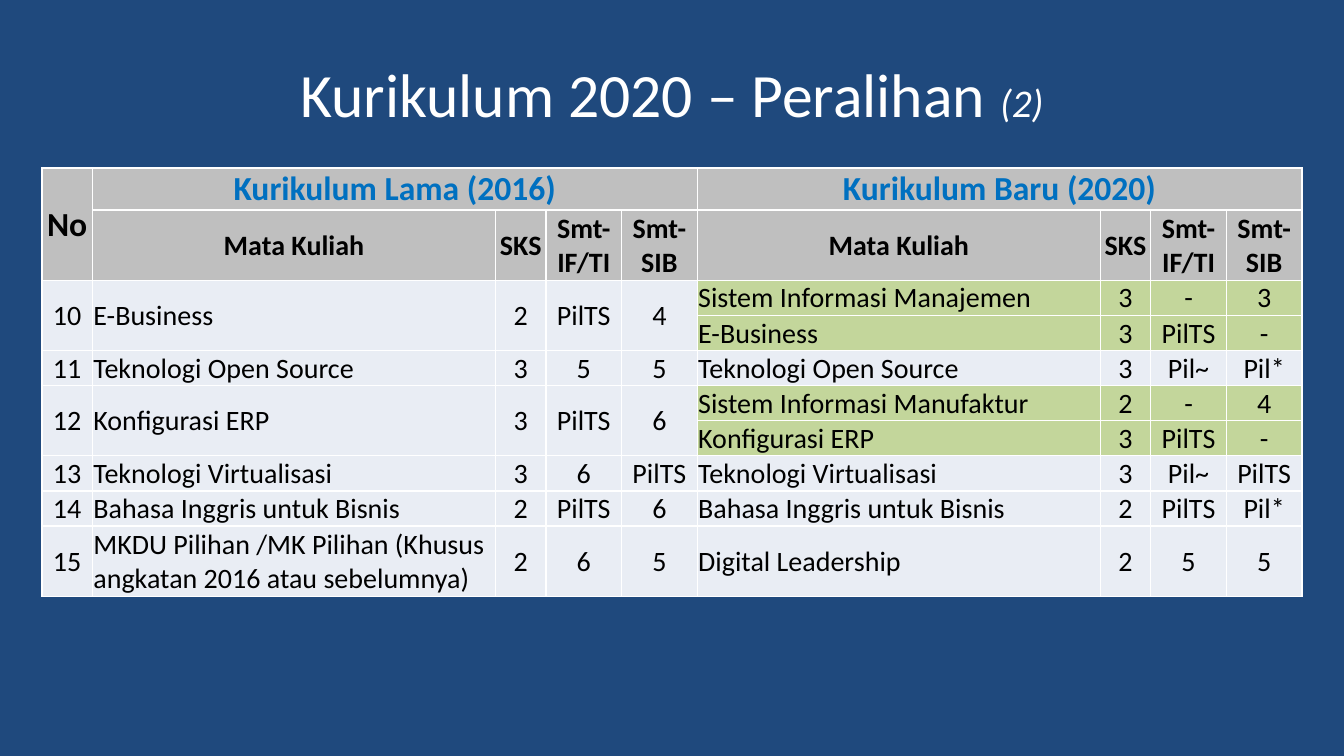
from dataclasses import dataclass

from lxml.etree import SubElement
from pptx import Presentation
from pptx.dml.color import RGBColor
from pptx.enum.text import MSO_ANCHOR, PP_ALIGN
from pptx.oxml.ns import qn
from pptx.util import Pt


@dataclass(frozen=True)
class Theme:
    font: str = "Calibri"
    background: str = "1F497D"
    white: str = "FFFFFF"
    black: str = "000000"
    blue: str = "0070C0"
    header: str = "BFBFBF"
    plain: str = "E9EDF4"
    split: str = "C3D69B"
    title: int = 44
    suffix: int = 28
    heading: int = 24
    body: int = 20
    border: int = 1


THEME = Theme()
COLUMNS = ("Mata Kuliah", "SKS", "Smt-IF/TI", "Smt-SIB")
GROUP_WIDTHS = (288, 36, 54, 54)
COURSES = [
    ("10", ("E-Business", "2", "PilTS", "4"),
     [("Sistem Informasi Manajemen", "3", "-", "3"), ("E-Business", "3", "PilTS", "-")]),
    ("11", ("Teknologi Open Source", "3", "5", "5"),
     [("Teknologi Open Source", "3", "Pil~", "Pil*")]),
    ("12", ("Konfigurasi ERP", "3", "PilTS", "6"),
     [("Sistem Informasi Manufaktur", "2", "-", "4"), ("Konfigurasi ERP", "3", "PilTS", "-")]),
    ("13", ("Teknologi Virtualisasi", "3", "6", "PilTS"),
     [("Teknologi Virtualisasi", "3", "Pil~", "PilTS")]),
    ("14", ("Bahasa Inggris untuk Bisnis", "2", "PilTS", "6"),
     [("Bahasa Inggris untuk Bisnis", "2", "PilTS", "Pil*")]),
    ("15", ("MKDU Pilihan /MK Pilihan (Khusus angkatan 2016 atau sebelumnya)", "2", "6", "5"),
     [("Digital Leadership", "2", "5", "5")]),
]


def add_text(p, text, size=THEME.body, color=THEME.black, bold=False, italic=False,
             align=PP_ALIGN.CENTER):
    p.alignment = align
    r = p.add_run()
    r.text = text
    r.font.name = THEME.font
    r.font.size = Pt(size)
    r.font.bold = bold
    r.font.italic = italic
    r.font.color.rgb = RGBColor.from_string(color)


def style_cell(cell, fill):
    cell.margin_left = cell.margin_right = cell.margin_top = Pt(0.72)
    cell.margin_bottom = 0
    cell.vertical_anchor = MSO_ANCHOR.MIDDLE
    tc_pr = cell._tc.get_or_add_tcPr()
    for side in ("a:lnL", "a:lnR", "a:lnT", "a:lnB"):
        ln = SubElement(tc_pr, qn(side), w=str(int(Pt(THEME.border))))
        SubElement(SubElement(ln, qn("a:solidFill")), qn("a:srgbClr"), val=THEME.white)
    cell.fill.solid()
    cell.fill.fore_color.rgb = RGBColor.from_string(fill)


def add_title(s, left, top, width, height):
    tf = s.shapes.add_textbox(Pt(left), Pt(top), Pt(width), Pt(height)).text_frame
    tf.word_wrap = True
    tf.vertical_anchor = MSO_ANCHOR.MIDDLE
    p = tf.paragraphs[0]
    add_text(p, "Kurikulum 2020 – Peralihan ", size=THEME.title, color=THEME.white)
    add_text(p, "(2)", size=THEME.suffix, color=THEME.white, italic=True)


def fill_header(table):
    def put(row, col, text, **fmt):
        add_text(table.cell(row, col).text_frame.paragraphs[0], text, bold=True, **fmt)

    table.cell(0, 0).merge(table.cell(1, 0))
    put(0, 0, "No", size=THEME.heading)
    for start, name in ((1, "Kurikulum Lama (2016)"), (5, "Kurikulum Baru (2020)")):
        table.cell(0, start).merge(table.cell(0, start + 3))
        put(0, start, name, size=THEME.heading, color=THEME.blue)
        for i, column in enumerate(COLUMNS):
            put(1, start + i, column)


def fill_courses(table, row):
    def put(row, col, text):
        align = PP_ALIGN.LEFT if col in (1, 5) else PP_ALIGN.CENTER
        add_text(table.cell(row, col).text_frame.paragraphs[0], text, align=align)

    for number, old, successors in COURSES:
        for col, text in enumerate((number, *old)):
            if len(successors) > 1:
                table.cell(row, col).merge(table.cell(row + len(successors) - 1, col))
            put(row, col, text)
        for new in successors:
            for col, text in enumerate(new, 5):
                put(row, col, text)
                if len(successors) > 1:
                    cell = table.cell(row, col)
                    cell.fill.fore_color.rgb = RGBColor.from_string(THEME.split)
            row += 1


def add_curriculum(s, left, top, width, height):
    count = 2 + sum(len(successors) for _, _, successors in COURSES)
    table = s.shapes.add_table(count, 9, Pt(left), Pt(top), Pt(width), Pt(height)).table
    share = width / (36 + 2 * sum(GROUP_WIDTHS))
    for column, w in zip(table.columns, (36, *GROUP_WIDTHS, *GROUP_WIDTHS)):
        column.width = Pt(w * share)
    line = (height - 30) / (count + 1 - 1 + 1)
    for i, row in enumerate(table.rows):
        row.height = Pt(30 if i == 0 else 2 * line if i in (1, count - 1) else line)
        for cell in row.cells:
            style_cell(cell, THEME.header if i < 2 else THEME.plain)
    fill_header(table)
    fill_courses(table, 2)


def main():
    prs = Presentation()
    prs.slide_width, prs.slide_height = Pt(960), Pt(540)
    s = prs.slides.add_slide(prs.slide_layouts[6])
    s.background.fill.solid()
    s.background.fill.fore_color.rgb = RGBColor.from_string(THEME.background)
    add_title(s, 48, 21.6, 864, 90)
    add_curriculum(s, 30, 120, 900, 306)
    prs.save("out.pptx")


if __name__ == "__main__":
    main()
